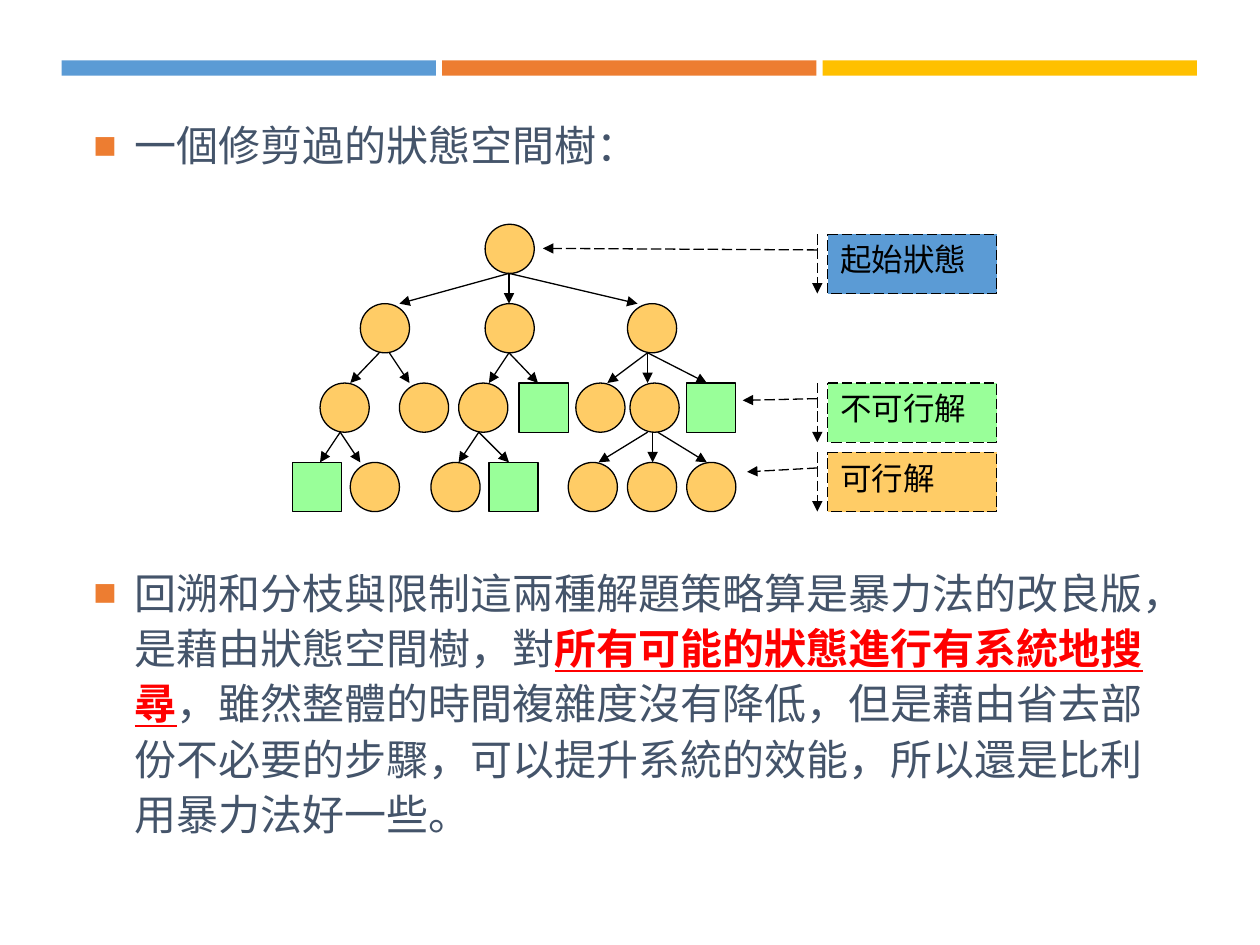
import pptx
from lxml import etree
from pptx.dml.color import RGBColor
from pptx.enum.dml import MSO_LINE
from pptx.enum.shapes import MSO_CONNECTOR, MSO_SHAPE
from pptx.enum.text import MSO_ANCHOR, MSO_AUTO_SIZE, PP_ALIGN
from pptx.oxml.ns import qn
from pptx.util import Inches, Pt

BLUE = RGBColor(0x5B, 0x9B, 0xD5)
ORANGE = RGBColor(0xED, 0x7D, 0x31)
GOLD = RGBColor(0xFF, 0xC0, 0x00)
SLATE = RGBColor(0x44, 0x54, 0x6A)
RED = RGBColor(0xFF, 0x00, 0x00)
BLACK = RGBColor(0x00, 0x00, 0x00)
AMBER = RGBColor(0xFF, 0xCC, 0x66)
GREEN = RGBColor(0x99, 0xFF, 0x99)
FONT = "Cabin"

# (text, emphasised) runs of each bullet
BULLETS = [
    [("一個修剪過的狀態空間樹：", False)],
    [("回溯和分枝與限制這兩種解題策略算是暴力法的改良版，是藉由狀態空間樹，對", False),
     ("所有可能的狀態進行有系統地搜尋", True),
     ("，雖然整體的時間複雜度沒有降低，但是藉由省去部份不必要的步驟，"
      "可以提升系統的效能，所以還是比利用暴力法好一些。", False)],
]
TREE_GAP = Pt(218)  # room for the tree between the bullets

BAR_COLORS = [BLUE, ORANGE, GOLD]
BAR_LEFT, BAR_TOP, BAR_W, BAR_H, BAR_PITCH = 0.49, 0.48, 2.97, 0.12, 3.02

# Left edge of each node, level by level; infeasible nodes are squares
LEVELS = [
    [3.85],
    [2.86, 3.85, 4.98],
    [2.54, 3.17, 3.64, 4.12, 4.57, 5.0, 5.45],
    [2.32, 2.78, 3.42, 3.88, 4.51, 4.98, 5.45],
]
INFEASIBLE = {(2, 3), (2, 6), (3, 0), (3, 3)}
TREE_TOP, LEVEL_PITCH, NODE = 1.78, 0.63, 0.39

# (start x, end x) of the arrows leaving each level
EDGES = [
    [(4.04, 4.04), (4.04, 3.17), (4.04, 5.06)],
    [(3.01, 2.78), (3.09, 3.25), (4.04, 3.88), (4.04, 4.27),
     (5.14, 4.82), (5.14, 5.14), (5.14, 5.61)],
    [(2.7, 2.54), (2.7, 2.86), (3.8, 3.64), (3.8, 4.04),
     (5.14, 4.75), (5.18, 5.18), (5.22, 5.61)],
]

# label, top, fill, pointer end as (y, x) shares of the box
CALLOUTS = [
    ("起始狀態", 1.86, BLUE, (0.238, -1.687)),
    ("不可行解", 3.04, GREEN, (0.293, -0.504)),
    ("可行解", 3.59, AMBER, (0.33, -0.478)),
]
CALLOUT_LEFT, CALLOUT_W, CALLOUT_H = 6.57, 1.34, 0.47
POINTER_START = (0.264, -0.062)


def add_box(s, kind, x, y, w, h, fill, outlined=True):
    sp = s.shapes.add_shape(kind, Inches(x), Inches(y), Inches(w), Inches(h))
    sp.shadow.inherit = False
    sp.fill.solid()
    sp.fill.fore_color.rgb = fill
    if outlined:
        sp.line.color.rgb = BLACK
        sp.line.width = Pt(0.75)
    else:
        sp.line.fill.background()
    return sp


def add_arrowhead(sp):
    etree.SubElement(sp.line._get_or_add_ln(), qn("a:tailEnd"), type="triangle")


def add_arrow(s, x1, y1, x2, y2):
    cn = s.shapes.add_connector(MSO_CONNECTOR.STRAIGHT, Inches(x1), Inches(y1),
                                Inches(x2), Inches(y2))
    cn.line.color.rgb = BLACK
    cn.line.width = Pt(0.75)
    add_arrowhead(cn)
    etree.SubElement(cn._element.spPr, qn("a:effectLst"))


def add_square_bullet(p):
    pPr = p._p.get_or_add_pPr()
    pPr.set("marL", str(Inches(0.33)))
    pPr.set("indent", str(-Inches(0.33)))
    color = etree.SubElement(pPr, qn("a:buClr"))
    etree.SubElement(color, qn("a:srgbClr"), val=str(ORANGE))
    etree.SubElement(pPr, qn("a:buSzPct"), val="92000")
    etree.SubElement(pPr, qn("a:buFont"), typeface="Arial")
    etree.SubElement(pPr, qn("a:buChar"), char="■")


def fill_body(body):
    body.left, body.top = Inches(0.64), Inches(0.86)
    body.width, body.height = Inches(8.74), Inches(6.2)
    tf = body.text_frame
    tf.word_wrap = True
    tf.auto_size = MSO_AUTO_SIZE.NONE
    tf.vertical_anchor = MSO_ANCHOR.TOP
    for i, runs in enumerate(BULLETS):
        p = tf.add_paragraph() if i else tf.paragraphs[0]
        add_square_bullet(p)
        p.line_spacing = 1.1
        p.space_before = TREE_GAP if i else Pt(0)
        p.space_after = Pt(6)
        for text, emphasised in runs:
            r = p.add_run()
            r.text = text
            r.font.name = FONT
            r.font.size = Pt(24)
            r.font.bold = r.font.underline = emphasised
            r.font.color.rgb = RED if emphasised else SLATE


def add_tree(s):
    for level, lefts in enumerate(LEVELS):
        y = TREE_TOP + level * LEVEL_PITCH
        for i, x in enumerate(lefts):
            if (level, i) in INFEASIBLE:
                add_box(s, MSO_SHAPE.RECTANGLE, x, y, NODE, NODE, GREEN)
            else:
                add_box(s, MSO_SHAPE.OVAL, x, y, NODE, NODE, AMBER)
    for level, edges in enumerate(EDGES):
        y = TREE_TOP + level * LEVEL_PITCH
        for x1, x2 in edges:
            add_arrow(s, x1, y + NODE, x2, y + LEVEL_PITCH)


def add_callout(s, label, top, fill, pointer_end):
    sp = add_box(s, MSO_SHAPE.LINE_CALLOUT_1_BORDER_AND_ACCENT_BAR,
                 CALLOUT_LEFT, top, CALLOUT_W, CALLOUT_H, fill)
    for i, value in enumerate(POINTER_START + pointer_end):
        sp.adjustments[i] = value
    sp.line.dash_style = MSO_LINE.LONG_DASH
    add_arrowhead(sp)
    tf = sp.text_frame
    tf.word_wrap = True
    tf.vertical_anchor = MSO_ANCHOR.TOP
    tf.text = label
    p = tf.paragraphs[0]
    p.alignment = PP_ALIGN.LEFT
    font = p.runs[0].font
    font.name, font.size = FONT, Pt(18)
    font.color.rgb = BLACK


def main():
    prs = pptx.Presentation()
    prs.slide_width, prs.slide_height = Inches(10), Inches(7.5)
    s = prs.slides.add_slide(prs.slide_layouts[1])
    title = s.shapes.title._element
    title.getparent().remove(title)
    for i, color in enumerate(BAR_COLORS):
        add_box(s, MSO_SHAPE.RECTANGLE, BAR_LEFT + i * BAR_PITCH, BAR_TOP,
                BAR_W, BAR_H, color, outlined=False)
    fill_body(s.placeholders[1])
    add_tree(s)
    for callout in CALLOUTS:
        add_callout(s, *callout)
    prs.save("out.pptx")


if __name__ == "__main__":
    main()
